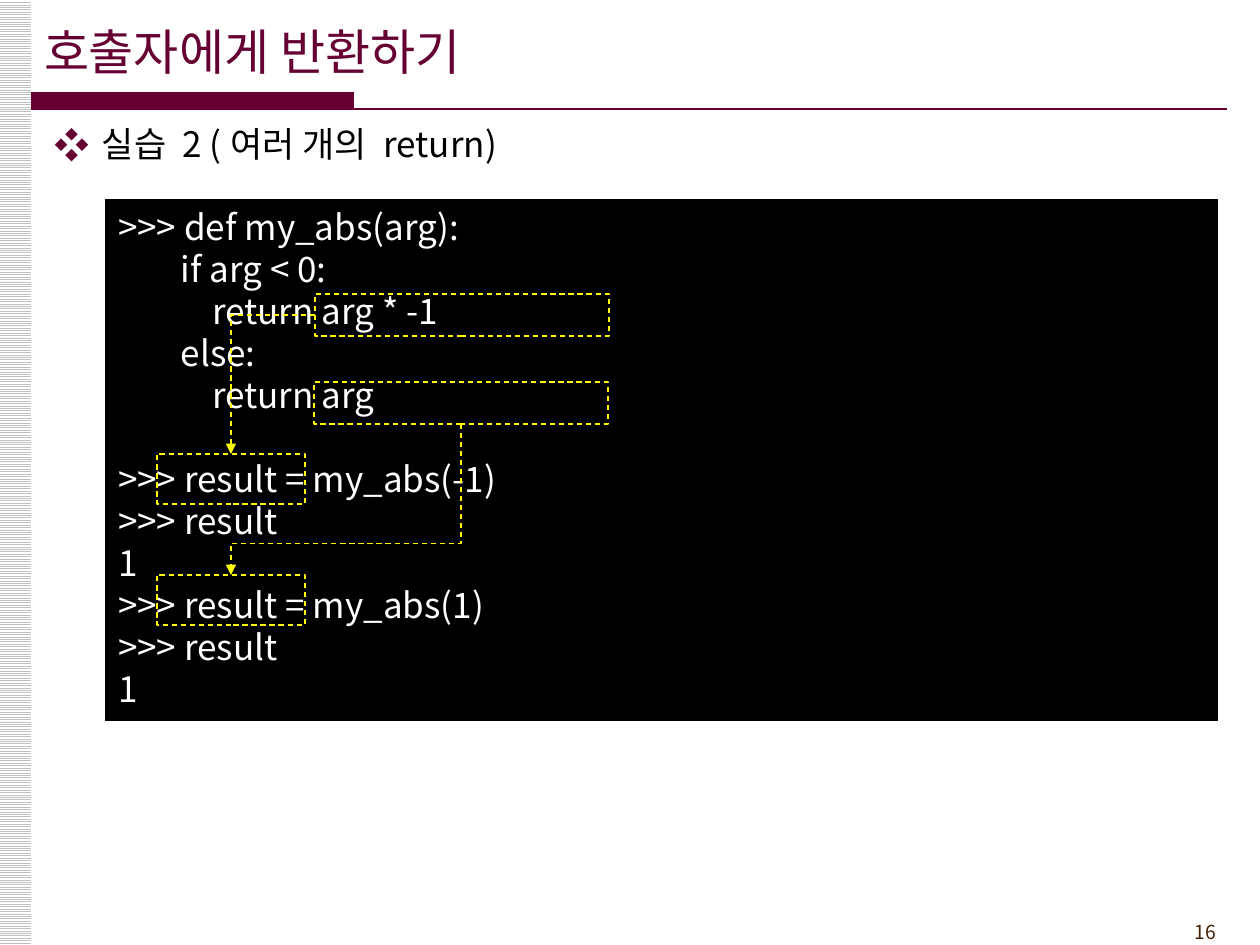
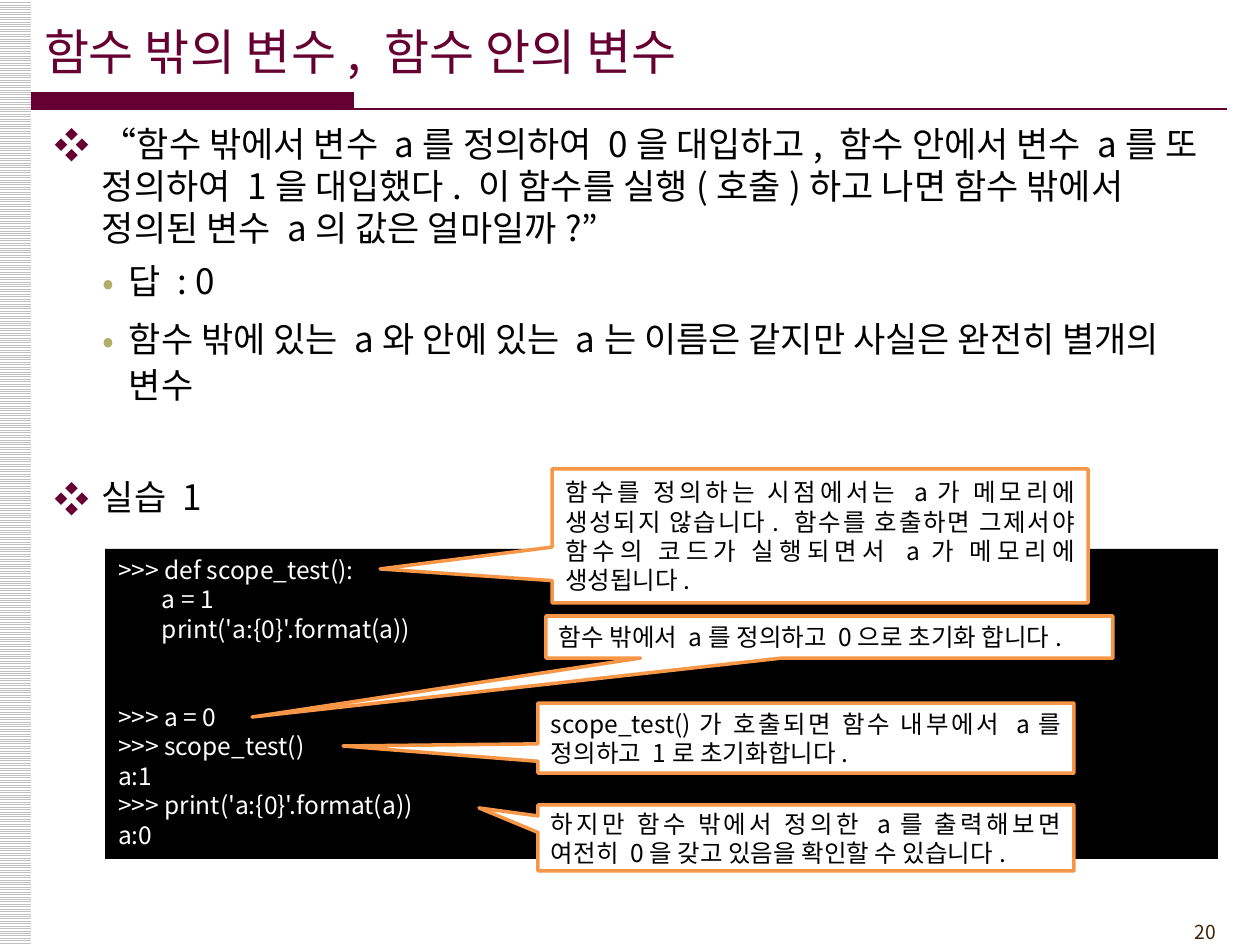
import pptx
import pptx.dml.color
import pptx.enum.dml
import pptx.enum.shapes
import pptx.enum.text
import pptx.oxml.ns
import pptx.util
from lxml import etree

RGBColor = pptx.dml.color.RGBColor
SHAPES = pptx.enum.shapes.MSO_SHAPE
CONNECTORS = pptx.enum.shapes.MSO_CONNECTOR
ALIGN = pptx.enum.text.PP_ALIGN
ANCHOR = pptx.enum.text.MSO_ANCHOR

WINE = RGBColor(0x66, 0x00, 0x33)
OLIVE = RGBColor(0xB1, 0xAE, 0x6B)
BROWN = RGBColor(0x45, 0x21, 0x03)
SILVER = RGBColor(0xC0, 0xC0, 0xC0)
ORANGE = RGBColor(0xF7, 0x96, 0x46)
YELLOW = RGBColor(0xFF, 0xFF, 0x00)
BLACK = RGBColor(0, 0, 0)
WHITE = RGBColor(0xFF, 0xFF, 0xFF)
FONT = "Noto Sans CJK KR"

PAGE_BOX = (0, 0, 1260, 945)
BODY_BOX = (42, 116, 1197, 788)
INSET = 13  # side margin inside every text frame

RETURN_CODE = """>>> def my_abs(arg):
        if arg < 0:
            return arg * -1
        else:
            return arg

>>> result = my_abs(-1)
>>> result
1
>>> result = my_abs(1)
>>> result
1"""

SCOPE_CODE = """>>> def scope_test():
        a = 1
        print('a:{0}'.format(a))


>>> a = 0
>>> scope_test()
a:1
>>> print('a:{0}'.format(a))
a:0"""

# box within the code panel, tip of the pointer, text
SCOPE_NOTES = [
    ((447, -80, 536, 134), (275, 20),
     "함수를 정의하는 시점에서는 a가 메모리에 생성되지 않습니다. "
     "함수를 호출하면 그제서야 함수의 코드가 실행되면서 a가 메모리에 생성됩니다."),
    ((441, 67, 567, 42), (147, 168), "함수 밖에서 a를 정의하고 0으로 초기화 합니다."),
    ((433, 154, 536, 70), (238, 197),
     "scope_test()가 호출되면 함수 내부에서 a를 정의하고 1로 초기화합니다."),
    ((433, 256, 536, 66), (374, 259),
     "하지만 함수 밖에서 정의한 a를 출력해보면 여전히 0을 갖고 있음을 확인할 수 있습니다."),
]


def px(length):
    return round(length * 914400 / 126)


def inside(outer, box):
    """Turn a box relative to outer into a box on the page."""
    return (outer[0] + box[0], outer[1] + box[1], *box[2:])


def add_child(parent, tag, **attributes):
    return etree.SubElement(parent, pptx.oxml.ns.qn(tag), attributes)


def write(frame, text, size=20, color=BLACK, align=ALIGN.LEFT, first=False,
          before=0, after=0, spacing=None, bullet=None, bullet_color=None,
          indent=0, hanging=0):
    """Add one paragraph; first=True fills the paragraph already there."""
    para = frame.paragraphs[0] if first else frame.add_paragraph()
    properties = para._p.get_or_add_pPr()
    para.alignment = align
    para.space_before = pptx.util.Pt(0 if first else before)
    para.space_after = pptx.util.Pt(after)
    if spacing:
        para.line_spacing = spacing
    if bullet:
        properties.set("marL", str(px(indent)))
        properties.set("indent", str(-px(hanging)))
        add_child(add_child(properties, "a:buClr"), "a:srgbClr", val=str(bullet_color))
        add_child(properties, "a:buFont", typeface=FONT)
        add_child(properties, "a:buChar", char=bullet)
    span = para.add_run()
    span.text = text
    span.font.size = pptx.util.Pt(size)
    span.font.color.rgb = color
    span.font.name = FONT
    add_child(span._r.get_or_add_rPr(), "a:ea", typeface=FONT)


def set_frame(shape, anchor=ANCHOR.TOP, vertical=6):
    frame = shape.text_frame
    frame.word_wrap = True
    frame.vertical_anchor = anchor
    frame.margin_left = frame.margin_right = px(INSET)
    frame.margin_top = frame.margin_bottom = px(vertical)
    return frame


def add_text_frame(page, box, **options):
    return set_frame(page.shapes.add_textbox(*map(px, box)), **options)


def add_block(page, box, fill=None, line=None, width=0.75, kind=SHAPES.RECTANGLE):
    shape = page.shapes.add_shape(kind, *map(px, box))
    shape.shadow.inherit = False
    if fill is None:
        shape.fill.background()
    else:
        shape.fill.solid()
        shape.fill.fore_color.rgb = fill
    if line is None:
        shape.line.fill.background()
    else:
        shape.line.color.rgb = line
        shape.line.width = pptx.util.Pt(width)
    return shape


def add_line(page, start, end, color, width, kind=CONNECTORS.STRAIGHT):
    line = page.shapes.add_connector(kind, *map(px, (*start, *end)))
    line.line.color.rgb = color
    line.line.width = pptx.util.Pt(width)
    add_child(line._element.spPr, "a:effectLst")
    return line


def make_dashed(shape, arrow=False):
    shape.line.dash_style = pptx.enum.dml.MSO_LINE.DASH
    if arrow:
        add_child(shape.line._get_or_add_ln(), "a:tailEnd", type="triangle")


def add_corner_arrow(page, start, end):
    """Go sideways, then straight down."""
    arrow = add_line(page, start, end, YELLOW, 0.75, CONNECTORS.ELBOW)
    arrow._element.spPr.find(pptx.oxml.ns.qn("a:prstGeom")).set("prst", "bentConnector2")
    make_dashed(arrow, arrow=True)


def add_step_arrow(page, start, end, bend):
    """Go down, left and down again: an elbow turned by a quarter."""
    run, drop = start[0] - end[0], end[1] - start[1]
    middle_x, middle_y = (start[0] + end[0]) / 2, (start[1] + end[1]) / 2
    arrow = add_line(page, (middle_x - drop / 2, middle_y - run / 2),
                     (middle_x + drop / 2, middle_y + run / 2),
                     YELLOW, 0.75, CONNECTORS.ELBOW)
    properties = arrow._element.spPr
    properties.find(pptx.oxml.ns.qn("a:xfrm")).set("rot", str(90 * 60000))
    guides = properties.find(pptx.oxml.ns.qn("a:prstGeom")).get_or_add_avLst()
    add_child(guides, "a:gd", name="adj1", fmla=f"val {round(bend * 100000)}")
    make_dashed(arrow, arrow=True)


def add_page(deck, title, number, box=PAGE_BOX):
    """Blank page with side stripe, title, header rule and page number."""
    page = deck.slides.add_slide(deck.slide_layouts[6])
    stripe = add_block(page, inside(box, (-1, 0, 32, 945)))
    stripe.fill.patterned()
    stripe.fill.pattern = pptx.enum.dml.MSO_PATTERN.LIGHT_HORIZONTAL
    stripe.fill.fore_color.rgb = SILVER
    stripe.fill.back_color.rgb = WHITE

    frame = add_text_frame(page, inside(box, (1124, 914, 105, 36)))
    write(frame, str(number), size=11, color=BROWN, align=ALIGN.RIGHT, first=True)

    add_block(page, inside(box, (31, 92, 323, 18)), fill=WINE)
    left, top = box[:2]
    add_line(page, (left + 31, top + 109), (left + 1227, top + 109), WINE, 1.5)

    frame = add_text_frame(page, inside(box, (31, 11, 1042, 80)), anchor=ANCHOR.MIDDLE)
    write(frame, title, size=28, color=WINE, first=True)
    return page


def write_topic(frame, text, **options):
    write(frame, text, bullet="❖", bullet_color=WINE, indent=47, hanging=47, **options)


def write_point(frame, text):
    write(frame, text, bullet="•", bullet_color=OLIVE, indent=74, hanging=26,
          before=4, after=3, spacing=1.1)


def add_code(page, box, code, size):
    """Black panel; each empty code line becomes space before the next one."""
    frame = set_frame(add_block(page, box, fill=BLACK))
    empty_lines = 0
    for index, text in enumerate(code.split("\n")):
        if not text:
            empty_lines += 1
            continue
        write(frame, text, size=size, color=WHITE, align=ALIGN.JUSTIFY,
              first=index == 0, before=empty_lines * size * 1.2)
        empty_lines = 0


def add_return_flow(page, panel):
    """Dashed frames round the returned values, with arrows to the results."""
    left, top = panel[:2]
    for frame_box in ((210, 95, 294, 42), (52, 255, 148, 50),
                      (209, 183, 294, 42), (52, 376, 148, 50)):
        make_dashed(add_block(page, inside(panel, frame_box), line=YELLOW))
    add_corner_arrow(page, (left + 210, top + 116), (left + 126, top + 255))
    add_step_arrow(page, (left + 356, top + 225), (left + 126, top + 376), 0.79)


def add_callout(page, box, tip, text):
    callout = add_block(page, box, fill=WHITE, line=ORANGE, width=2,
                        kind=SHAPES.RECTANGULAR_CALLOUT)
    left, top, width, height = box
    callout.adjustments[0] = (tip[0] - left) / width - 0.5
    callout.adjustments[1] = (tip[1] - top) / height - 0.5
    frame = set_frame(callout, anchor=ANCHOR.MIDDLE, vertical=0)
    write(frame, text, size=14, align=ALIGN.JUSTIFY, first=True)


def build_return_page(deck):
    page = add_page(deck, "호출자에게 반환하기", 16)
    write_topic(add_text_frame(page, BODY_BOX), "실습 2 (여러 개의 return)", first=True)
    panel = inside(BODY_BOX, (63, 83, 1113, 522))
    add_code(page, panel, RETURN_CODE, size=20)
    add_return_flow(page, panel)


def build_scope_page(deck):
    page = add_page(deck, "함수 밖의 변수, 함수 안의 변수", 20)
    body = add_text_frame(page, BODY_BOX)
    write_topic(body, "“함수 밖에서 변수 a를 정의하여 0을 대입하고, 함수 안에서 변수 a를 또 "
                      "정의하여 1을 대입했다. 이 함수를 실행(호출)하고 나면 함수 밖에서 "
                      "정의된 변수 a의 값은 얼마일까?”", first=True)
    write_point(body, "답 : 0")
    write_point(body, "함수 밖에 있는 a와 안에 있는 a는 이름은 같지만 사실은 완전히 별개의 변수")
    write_topic(body, "실습 1", before=37)

    panel = inside(BODY_BOX, (63, 433, 1113, 310))
    add_code(page, panel, SCOPE_CODE, size=14)
    for box, tip, text in SCOPE_NOTES:
        add_callout(page, inside(panel, box), (panel[0] + tip[0], panel[1] + tip[1]), text)


def main():
    deck = pptx.Presentation()
    deck.slide_width, deck.slide_height = px(PAGE_BOX[2]), px(PAGE_BOX[3])
    build_return_page(deck)
    build_scope_page(deck)
    deck.save("out.pptx")


if __name__ == "__main__":
    main()
